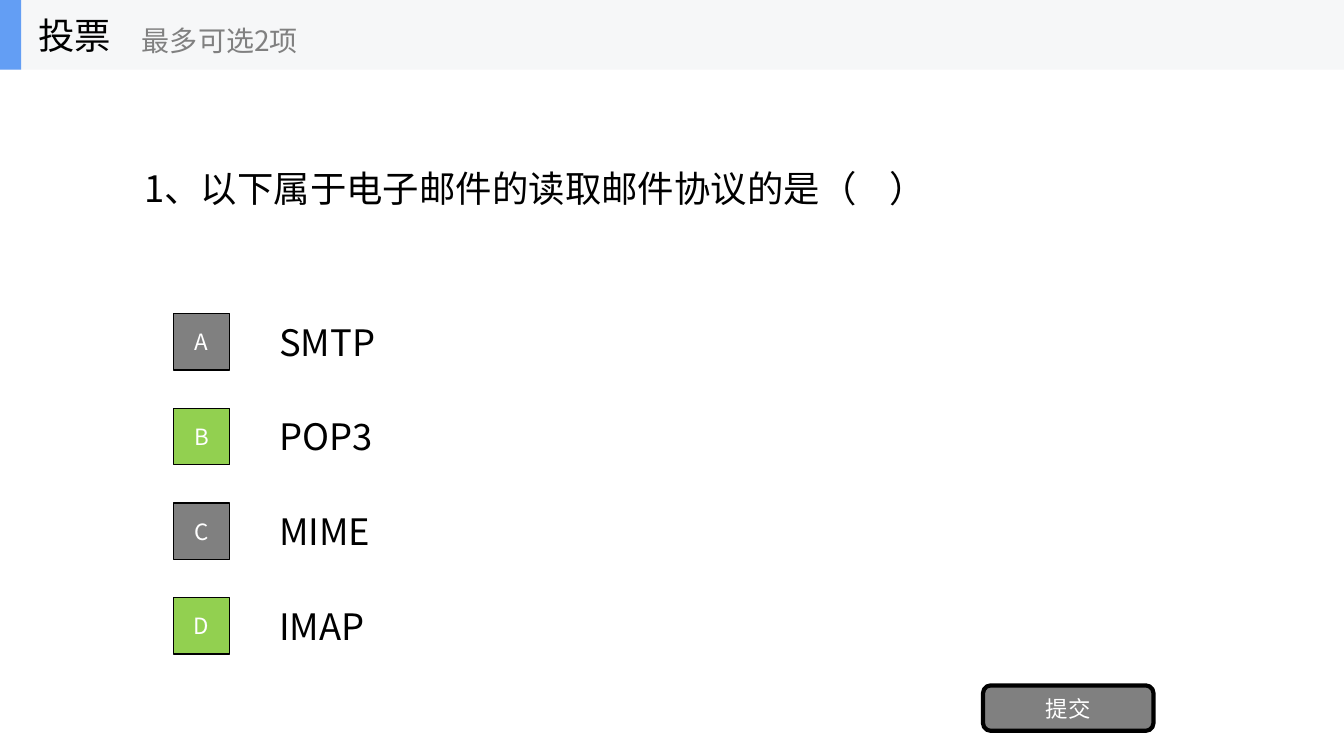
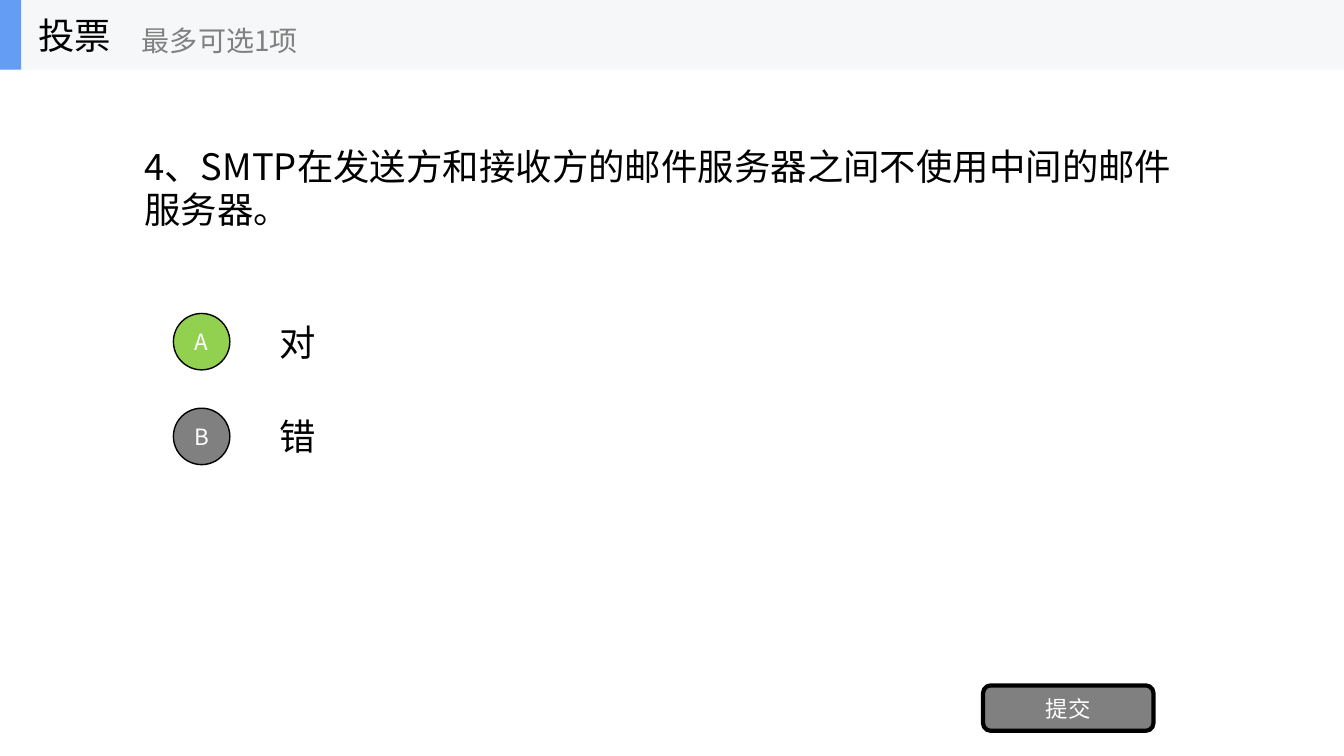
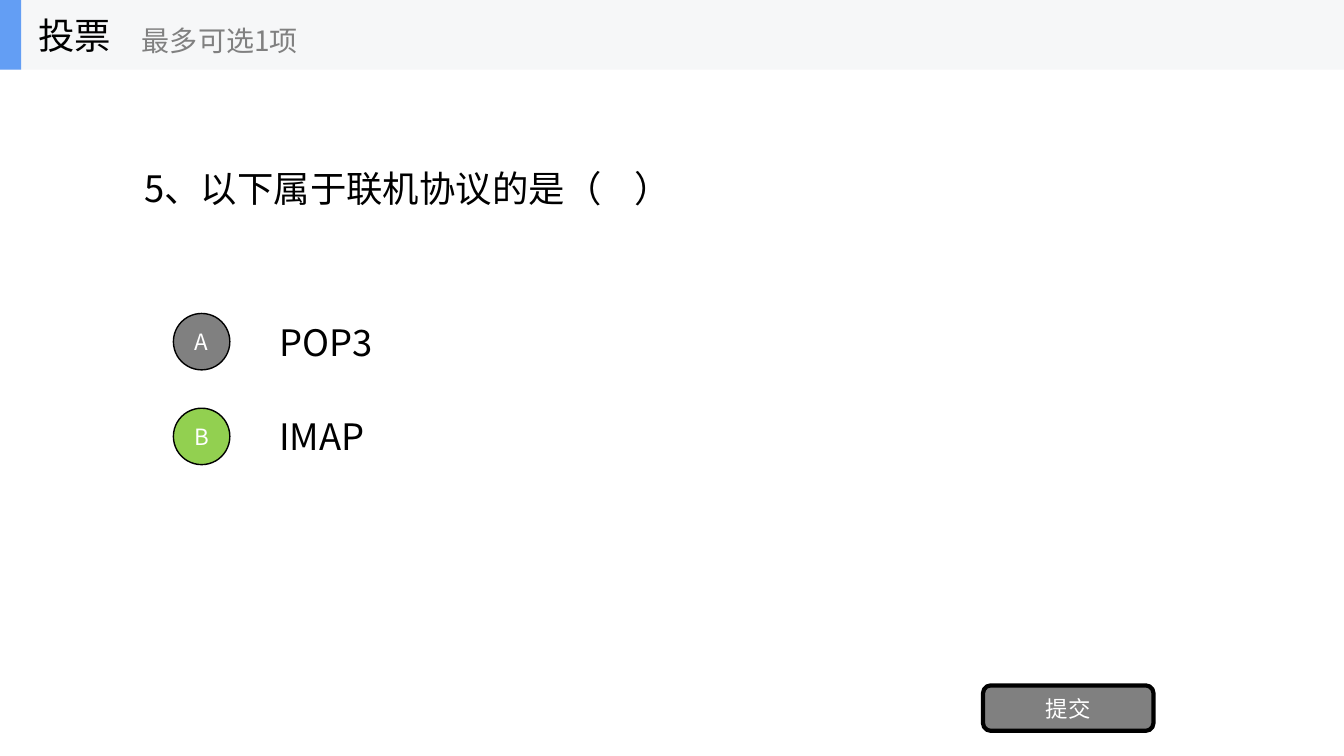
from lxml.etree import SubElement
from pptx import Presentation
from pptx.dml.color import RGBColor
from pptx.enum.shapes import MSO_SHAPE
from pptx.enum.text import MSO_ANCHOR, MSO_AUTO_SIZE, PP_ALIGN
from pptx.oxml.ns import qn
from pptx.util import Inches, Pt

FONT = "Noto Sans CJK SC"
BLACK, WHITE, GREY, GREEN = "000000", "FFFFFF", "808080", "92D050"
BAND, ACCENT = "F6F7F8", "639EF4"
SLIDE_WIDTH, BAND_HEIGHT = 13.33, 0.69
OPTION_TOP, OPTION_HEIGHT, OPTION_PITCH = 3.04, 0.7, 0.94
BADGE_SIZE = 0.56
LARGE = {"size": Pt(26), "name": FONT}
MEDIUM = {"size": Pt(20), "name": FONT}
SMALL = {"size": Pt(16), "name": FONT}

POLLS = [
    {
        "question": "1、以下属于电子邮件的读取邮件协议的是（    ）",
        "limit": 2,
        "badge": MSO_SHAPE.RECTANGLE,
        "options": ["SMTP", "POP3", "MIME", "IMAP"],
        "answers": "BD",
    },
    {
        "question": "4、SMTP在发送方和接收方的邮件服务器之间不使用中间的邮件服务器。",
        "limit": 1,
        "badge": MSO_SHAPE.OVAL,
        "options": ["对", "错"],
        "answers": "A",
    },
    {
        "question": "5、以下属于联机协议的是（    ）",
        "limit": 1,
        "badge": MSO_SHAPE.OVAL,
        "options": ["POP3", "IMAP"],
        "answers": "B",
    },
]


def rgb(color):
    """Turn a hex string into a colour."""
    return RGBColor.from_string(color)


def box(left, top, width, height):
    """Return a position and size in inches."""
    return [Inches(value) for value in (left, top, width, height)]


def write(shape, text, format_values, color=BLACK, align=PP_ALIGN.LEFT):
    """Put one formatted, vertically centred line of text in a shape."""
    frame = shape.text_frame
    frame.auto_size = MSO_AUTO_SIZE.NONE
    frame.word_wrap = True
    frame.vertical_anchor = MSO_ANCHOR.MIDDLE
    paragraph = frame.paragraphs[0]
    paragraph.alignment = align
    run = paragraph.add_run()
    run.text = text
    for name, value in format_values.items():
        setattr(run.font, name, value)
    run.font.color.rgb = rgb(color)
    SubElement(run.font._element, qn("a:ea"), typeface=FONT)


def add_label(shapes, position, text, format_values, color=BLACK):
    """Add a text box."""
    write(shapes.add_textbox(*box(*position)), text, format_values, color)


def add_block(shapes, kind, position, fill, line_width=0):
    """Add a filled shape, with a black outline if a width is given."""
    shape = shapes.add_shape(kind, *box(*position))
    shape.shadow.inherit = False
    shape.fill.solid()
    shape.fill.fore_color.rgb = rgb(fill)
    if line_width:
        shape.line.color.rgb = rgb(BLACK)
        shape.line.width = Pt(line_width)
    else:
        shape.line.fill.background()
    return shape


def add_header(slide, limit):
    """Add the grouped band with the poll heading and the choice limit."""
    shapes = slide.shapes.add_group_shape().shapes
    for width, fill in ((SLIDE_WIDTH, BAND), (0.21, ACCENT)):
        add_block(shapes, MSO_SHAPE.RECTANGLE, (0, 0, width, BAND_HEIGHT), fill)
    add_label(shapes, (0.28, 0, 2.08, BAND_HEIGHT), "投票", LARGE)
    add_label(shapes, (1.31, 0.12, 2.5, 0.56), f"最多可选{limit}项", MEDIUM, GREY)


def add_question(slide, question):
    """Place the question in the title placeholder."""
    title = slide.shapes.title
    title.left, title.top, title.width, title.height = box(1.33, BAND_HEIGHT, 10.67, 2.34)
    write(title, question, LARGE)


def add_option(slide, index, text, kind, answers):
    """Add one option with its lettered badge."""
    top = OPTION_TOP + index * OPTION_PITCH
    letter = "ABCD"[index]
    add_label(slide.shapes, (2.67, top, 9.33, OPTION_HEIGHT), text, LARGE)
    badge_top = top + (OPTION_HEIGHT - BADGE_SIZE) / 2
    badge = add_block(slide.shapes, kind, (1.72, badge_top, BADGE_SIZE, BADGE_SIZE),
                      GREEN if letter in answers else GREY, 1)
    write(badge, letter, SMALL, WHITE, PP_ALIGN.CENTER)


def add_submit_button(slide):
    """Add the submit button."""
    button = add_block(slide.shapes, MSO_SHAPE.ROUNDED_RECTANGLE,
                       (9.75, 6.8, 1.69, 0.45), GREY, 3)
    write(button, "提交", SMALL, WHITE, PP_ALIGN.CENTER)


def add_poll(presentation, poll):
    """Add one poll slide."""
    slide = presentation.slides.add_slide(presentation.slide_layouts[5])
    add_question(slide, poll["question"])
    for index, text in enumerate(poll["options"]):
        add_option(slide, index, text, poll["badge"], poll["answers"])
    add_submit_button(slide)
    add_header(slide, poll["limit"])


def main():
    """Build and save the presentation."""
    presentation = Presentation()
    presentation.slide_width = Inches(SLIDE_WIDTH)
    presentation.slide_height = Inches(7.5)
    for poll in POLLS:
        add_poll(presentation, poll)
    presentation.save("out.pptx")


if __name__ == "__main__":
    main()
